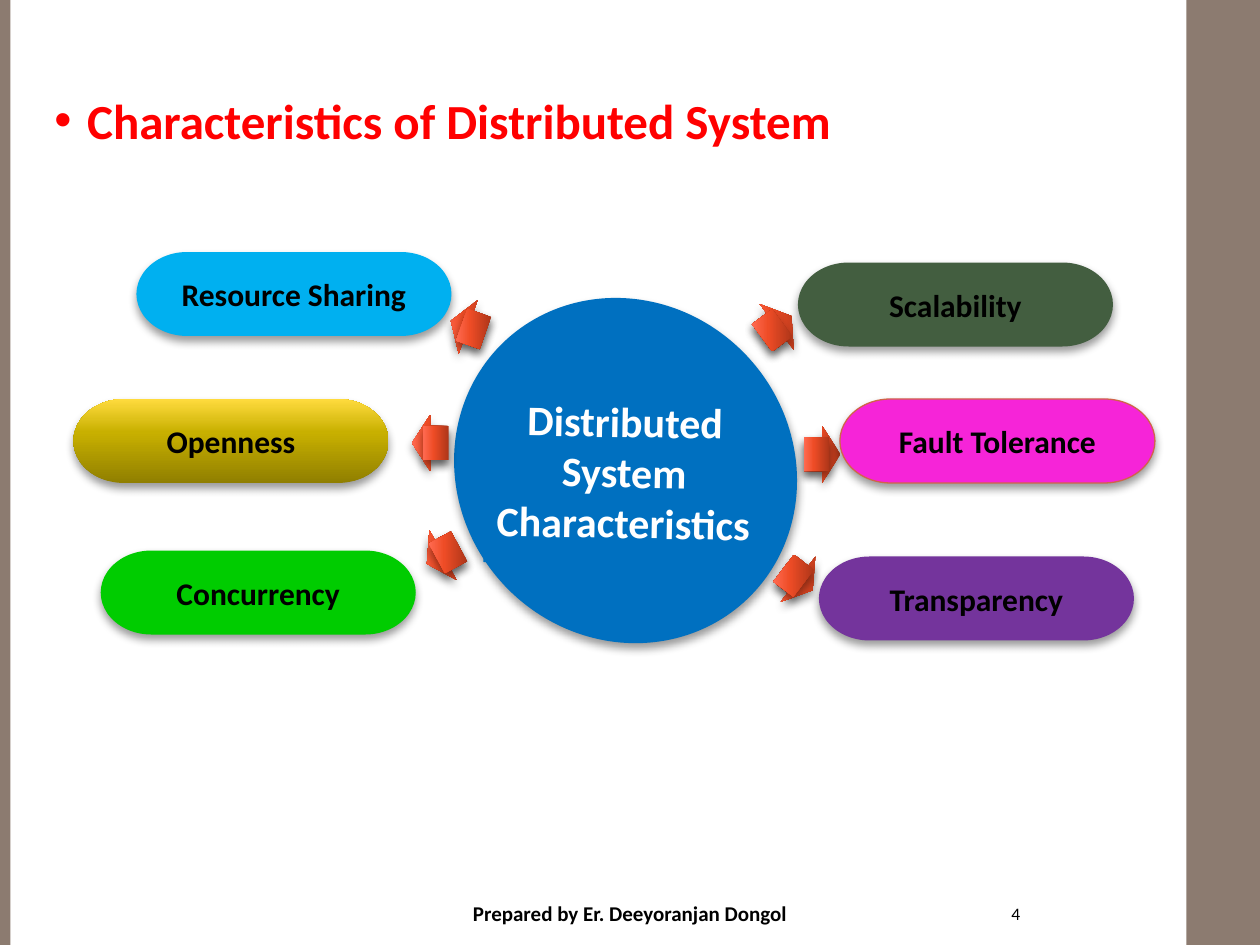
import math
from dataclasses import dataclass

import lxml.etree
import pptx
import pptx.dml.color
import pptx.enum.shapes
import pptx.enum.text
import pptx.oxml
import pptx.oxml.ns
import pptx.util

Pt = pptx.util.Pt
Shape = pptx.enum.shapes.MSO_SHAPE
Align = pptx.enum.text.PP_ALIGN
Anchor = pptx.enum.text.MSO_ANCHOR


@dataclass(frozen=True)
class Theme:
    font: str = "Calibri"
    band: str = "8C7B70"
    heading: str = "FF0000"
    hub: str = "0070C0"
    light: str = "FFFFFF"
    dark: str = "000000"
    outline: str = "D16349"
    magenta: str = "F624D8"
    purple: str = "74349C"
    moss: str = "435E40"
    sky: str = "00B0F0"
    green: str = "00CC00"
    ember: tuple = ("AE3619", "EE4C26", "FF6A51")
    gold: tuple = ("907F00", "C8B000", "FFDB3E")
    heading_size: int = 28
    hub_size: int = 24
    label_size: int = 18
    footer_size: int = 12
    number_size: int = 10


class Deck:
    def __init__(self, theme, width, height):
        self.theme = theme
        self.presentation = pptx.Presentation()
        self.presentation.slide_width = Pt(width)
        self.presentation.slide_height = Pt(height)
        self.slide = self.presentation.slides.add_slide(self.presentation.slide_layouts[6])

    def xml(self, content):
        return pptx.oxml.parse_xml(content.replace(" ", f" {pptx.oxml.ns.nsdecls('a')} ", 1))

    def gradient(self, shape, colors, angle, rotates):
        stops = "".join(
            f'<a:gs pos="{position}000"><a:srgbClr val="{color}"/></a:gs>'
            for position, color in zip((0, 60, 100), colors)
        )
        fill = self.xml(
            f'<a:gradFill rotWithShape="{rotates}"><a:gsLst>{stops}</a:gsLst>'
            f'<a:lin ang="{angle * 60000}" scaled="0"/></a:gradFill>'
        )
        shape._element.spPr.find(pptx.oxml.ns.qn("a:prstGeom")).addnext(fill)

    def shadow(self, shape):
        effects = shape._element.spPr.find(pptx.oxml.ns.qn("a:effectLst"))
        effects.append(self.xml(
            '<a:outerShdw blurRad="66040" dist="38100" dir="5400000" rotWithShape="0">'
            '<a:srgbClr val="000000"><a:alpha val="40000"/></a:srgbClr></a:outerShdw>'
        ))

    def shape(self, kind, left, top, width, height, fill, rotation=0, shadow=True,
              angle=270, rotates=1):
        shape = self.slide.shapes.add_shape(kind, Pt(left), Pt(top), Pt(width), Pt(height))
        shape.rotation = rotation
        shape.line.fill.background()
        shape.shadow.inherit = False
        if isinstance(fill, tuple):
            self.gradient(shape, fill, angle, rotates)
        else:
            shape.fill.solid()
            shape.fill.fore_color.rgb = pptx.dml.color.RGBColor.from_string(fill)
        if shadow:
            self.shadow(shape)
        return shape

    def wording(self, shape, text, size, color, align=Align.CENTER, bold=True,
                anchor=Anchor.MIDDLE):
        frame = shape.text_frame
        frame.word_wrap = True
        frame.vertical_anchor = anchor
        frame.text = text
        paragraph = frame.paragraphs[0]
        paragraph.alignment = align
        for run in paragraph.runs:
            run.font.name = self.theme.font
            run.font.size = Pt(size)
            run.font.bold = bold
            run.font.color.rgb = pptx.dml.color.RGBColor.from_string(color)
        return paragraph

    def text(self, left, top, width, height, *args, **style):
        box = self.slide.shapes.add_textbox(Pt(left), Pt(top), Pt(width), Pt(height))
        return self.wording(box, *args, **style)

    def heading(self, text):
        paragraph = self.text(24, 48, 636, 444, text, self.theme.heading_size,
                              self.theme.heading, align=Align.JUSTIFY, anchor=Anchor.TOP)
        properties = paragraph._p.get_or_add_pPr()
        properties.set("marL", str(Pt(18.7)))
        properties.set("indent", str(-Pt(18.7)))
        bullet_font = lxml.etree.SubElement(properties, pptx.oxml.ns.qn("a:buFont"))
        bullet_font.set("typeface", "Arial")
        lxml.etree.SubElement(properties, pptx.oxml.ns.qn("a:buChar")).set("char", "•")

    def hub(self, text):
        self.shape(Shape.OVAL, 256.3, 173.5, 202.3, 190.8, self.theme.hub, rotation=48.3)
        caption = self.shape(Shape.RECTANGLE, 277.2, 216, 159.1, 106.6, self.theme.hub,
                             rotation=1, shadow=False)
        self.wording(caption, text, self.theme.hub_size, self.theme.light)
        frame = caption.text_frame
        frame.margin_left = frame.margin_right = Pt(4.3)
        frame.margin_top = frame.margin_bottom = Pt(4.3)

    def arrow(self, x, y, rotation):
        turn = math.radians(rotation)
        parts = ((Shape.RIGHT_ARROW, 20.9, 32.4, 0), (Shape.RECTANGLE, 14.4, 19.4, -3.25))
        for kind, width, height, shift in parts:
            left = x + shift * math.cos(turn) - width / 2
            top = y + shift * math.sin(turn) - height / 2
            part = self.shape(kind, left, top, width, height, self.theme.ember,
                              rotation=rotation, angle=180, rotates=0)
            if kind == Shape.RIGHT_ARROW:
                part.adjustments[0] = 0.6
                part.adjustments[1] = 0.5

    def label(self, text, left, top, fill, outline=None):
        pill = self.shape(Shape.FLOWCHART_TERMINATOR, left, top, 180, 48, fill)
        if outline:
            pill.line.color.rgb = pptx.dml.color.RGBColor.from_string(outline)
            pill.line.width = Pt(0.75)
        self.wording(pill, text, self.theme.label_size, self.theme.dark)


def main():
    theme = Theme()
    deck = Deck(theme, 720, 540)
    for left, width in ((678, 42), (0, 6)):
        deck.shape(Shape.RECTANGLE, left, 0, width, 540, theme.band, shadow=False)
    deck.heading("Characteristics of Distributed System")
    deck.text(512, 510, 78, 24, "4", theme.number_size, theme.dark,
              align=Align.RIGHT, bold=False)
    deck.text(213, 510, 294, 24, "Prepared by Er. Deeyoranjan Dongol",
              theme.footer_size, theme.dark)
    deck.hub("Distributed System Characteristics")

    for x, y, rotation in (
        (443.9, 186.8, 323.4), (469.8, 259.6, 0), (456.1, 331, 37.4),
        (245.9, 253.1, 180), (253.1, 317.2, 151.5), (267.5, 186.8, 199.5),
    ):
        deck.arrow(x, y, rotation)

    for text, left, top, fill, outline in (
        ("Fault Tolerance", 480, 228, theme.magenta, theme.outline),
        ("Transparency", 468, 318, theme.purple, None),
        ("Scalability", 456, 150, theme.moss, None),
        ("Resource Sharing", 78, 144, theme.sky, None),
        ("Openness", 42, 228, theme.gold, None),
        ("Concurrency", 57.6, 314.6, theme.green, None),
    ):
        deck.label(text, left, top, fill, outline)
    deck.presentation.save("out.pptx")


if __name__ == "__main__":
    main()
